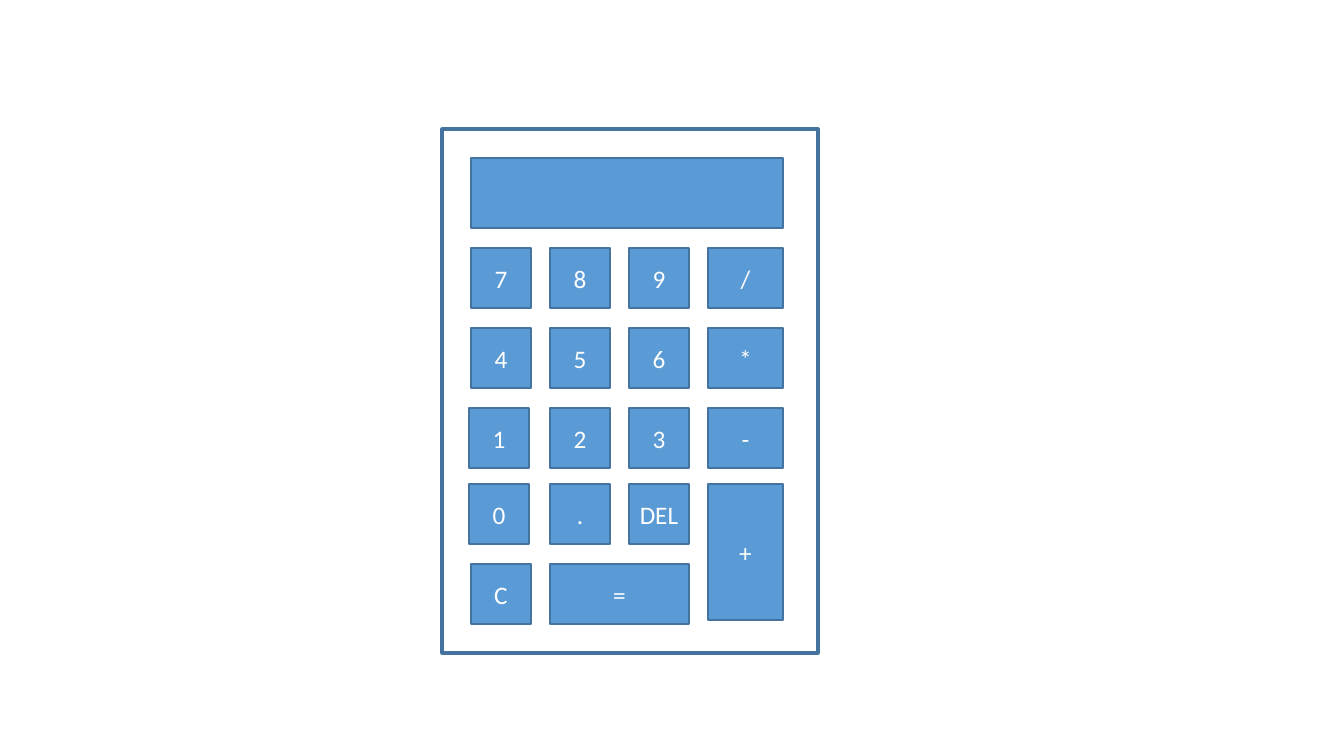
import pptx
import pptx.dml.color
import pptx.enum.shapes
import pptx.enum.text
import pptx.util

PX = 914400 / 100.8
BLUE = pptx.dml.color.RGBColor(0x5B, 0x9B, 0xD5)
OUTLINE = pptx.dml.color.RGBColor(0x43, 0x73, 0x9E)
WHITE = pptx.dml.color.RGBColor(0xFF, 0xFF, 0xFF)

KEY = 60
OPERATOR_WIDTH = 75
COLUMN_STEP = 79
MARGIN = 29
ROW_TOPS = [119, 199, 279, 355, 435]
KEY_ROWS = [["7", "8", "9", "/"], ["4", "5", "6", "*"], ["1", "2", "3", "-"],
            ["0", ".", "DEL", "+"], ["C", "="]]
KEY_SIZES = {"/": (OPERATOR_WIDTH, KEY), "*": (OPERATOR_WIDTH, KEY),
             "-": (OPERATOR_WIDTH, KEY), "+": (OPERATOR_WIDTH, 136),
             "=": (COLUMN_STEP + KEY, KEY)}
KEY_NUDGES = {"1": -2, "0": -2}


def emu(pixels):
    return pptx.util.Emu(round(pixels * PX))


def add_box(slide, left, top, width, height, fill=BLUE, line_width=1):
    shape = slide.shapes.add_shape(
        pptx.enum.shapes.MSO_SHAPE.RECTANGLE,
        emu(left), emu(top), emu(width), emu(height))
    shape.shadow.inherit = False
    if fill is None:
        shape.fill.background()
    else:
        shape.fill.solid()
        shape.fill.fore_color.rgb = fill
    shape.line.color.rgb = OUTLINE
    shape.line.width = pptx.util.Pt(line_width)
    return shape


def add_key(slide, label, left, top, width, height):
    shape = add_box(slide, left, top, width, height)
    frame = shape.text_frame
    frame.word_wrap = False
    frame.vertical_anchor = pptx.enum.text.MSO_ANCHOR.MIDDLE
    paragraph = frame.paragraphs[0]
    paragraph.alignment = pptx.enum.text.PP_ALIGN.CENTER
    run = paragraph.add_run()
    run.text = label
    run.font.name = "Calibri"
    run.font.size = pptx.util.Pt(18)
    run.font.color.rgb = WHITE


def add_keypad(slide, left, top):
    for row_top, labels in zip(ROW_TOPS, KEY_ROWS):
        for column, label in enumerate(labels):
            width, height = KEY_SIZES.get(label, (KEY, KEY))
            key_left = left + column * COLUMN_STEP + KEY_NUDGES.get(label, 0)
            add_key(slide, label, key_left, top + row_top, width, height)


def add_calculator(slide, left, top, width, height):
    add_box(slide, left, top, width, height, fill=None, line_width=2.25)
    display_width = 3 * COLUMN_STEP + OPERATOR_WIDTH
    add_box(slide, left + MARGIN, top + MARGIN, display_width, 70)
    add_keypad(slide, left + MARGIN, top)


def main():
    presentation = pptx.Presentation()
    presentation.slide_width = emu(1344)
    presentation.slide_height = emu(756)
    slide = presentation.slides.add_slide(presentation.slide_layouts[6])
    add_calculator(slide, 442, 129, 376, 524)
    presentation.save("out.pptx")


if __name__ == "__main__":
    main()
